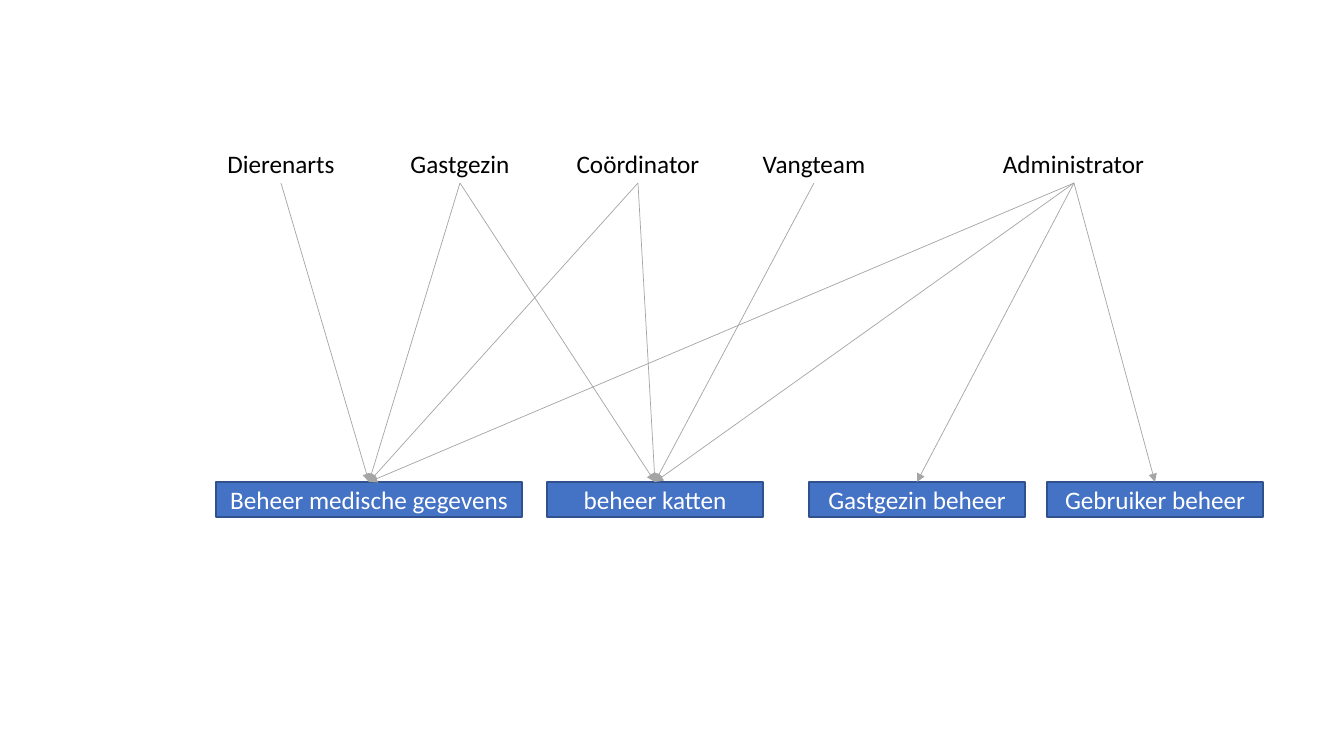
from pptx import Presentation
from pptx.dml.color import RGBColor
from pptx.enum.shapes import MSO_CONNECTOR, MSO_SHAPE
from pptx.enum.text import MSO_ANCHOR, MSO_AUTO_SIZE, PP_ALIGN
from pptx.oxml.ns import qn
from pptx.util import Pt
from lxml.etree import SubElement

BLACK = RGBColor(0x00, 0x00, 0x00)
WHITE = RGBColor(0xFF, 0xFF, 0xFF)
BLUE = RGBColor(0x44, 0x72, 0xC4)
DARK_BLUE = RGBColor(0x2F, 0x52, 0x8F)
GREY = RGBColor(0xA5, 0xA5, 0xA5)


def px(n):
    return round(n * 914400 / 100.8)


def write(shape, text, color, align):
    shape.text_frame.text = text
    paragraph = shape.text_frame.paragraphs[0]
    paragraph.alignment = align
    paragraph.font.name = "Calibri"
    paragraph.font.size = Pt(18)
    paragraph.font.color.rgb = color


prs = Presentation()
prs.slide_width, prs.slide_height = px(1344), px(756)
slide = prs.slides.add_slide(prs.slide_layouts[6])
shapes = slide.shapes

# Roles: name, left, alignment
roles = {}
for name, left, align in [
    ("Dierenarts", 200, PP_ALIGN.CENTER),
    ("Gastgezin", 379, PP_ALIGN.CENTER),
    ("Coördinator", 557, PP_ALIGN.CENTER),
    ("Vangteam", 733, PP_ALIGN.CENTER),
    ("Administrator", 993, PP_ALIGN.LEFT),
]:
    role = shapes.add_textbox(px(left), px(143), px(162), px(40))
    role.text_frame.word_wrap = True
    role.text_frame.auto_size = MSO_AUTO_SIZE.SHAPE_TO_FIT_TEXT
    write(role, name, BLACK, align)
    roles[name] = role

# Management functions: name, left, width
functions = {}
for name, left, width in [
    ("Beheer medische gegevens", 216, 306),
    ("beheer katten", 547, 216),
    ("Gastgezin beheer", 809, 216),
    ("Gebruiker beheer", 1047, 216),
]:
    function = shapes.add_shape(
        MSO_SHAPE.RECTANGLE, px(left), px(482), px(width), px(35))
    function.shadow.inherit = False
    function.fill.solid()
    function.fill.fore_color.rgb = BLUE
    function.line.color.rgb = DARK_BLUE
    function.line.width = Pt(1)
    function.text_frame.word_wrap = True
    function.text_frame.vertical_anchor = MSO_ANCHOR.MIDDLE
    write(function, name, WHITE, PP_ALIGN.CENTER)
    functions[name] = function

# Arrows from each role to the functions it uses
access = {
    "Dierenarts": ["Beheer medische gegevens"],
    "Gastgezin": ["Beheer medische gegevens", "beheer katten"],
    "Coördinator": ["Beheer medische gegevens", "beheer katten"],
    "Vangteam": ["beheer katten"],
    "Administrator": list(functions),
}
for role_name, function_names in access.items():
    for function_name in function_names:
        arrow = shapes.add_connector(MSO_CONNECTOR.STRAIGHT, 0, 0, 0, 0)
        arrow.begin_connect(roles[role_name], 2)
        arrow.end_connect(functions[function_name], 0)
        arrow.line.color.rgb = GREY
        arrow.line.width = Pt(0.5)
        SubElement(arrow.line._get_or_add_ln(), qn("a:tailEnd"), type="triangle")
        SubElement(arrow._element.spPr, qn("a:effectLst"))

prs.save("out.pptx")
